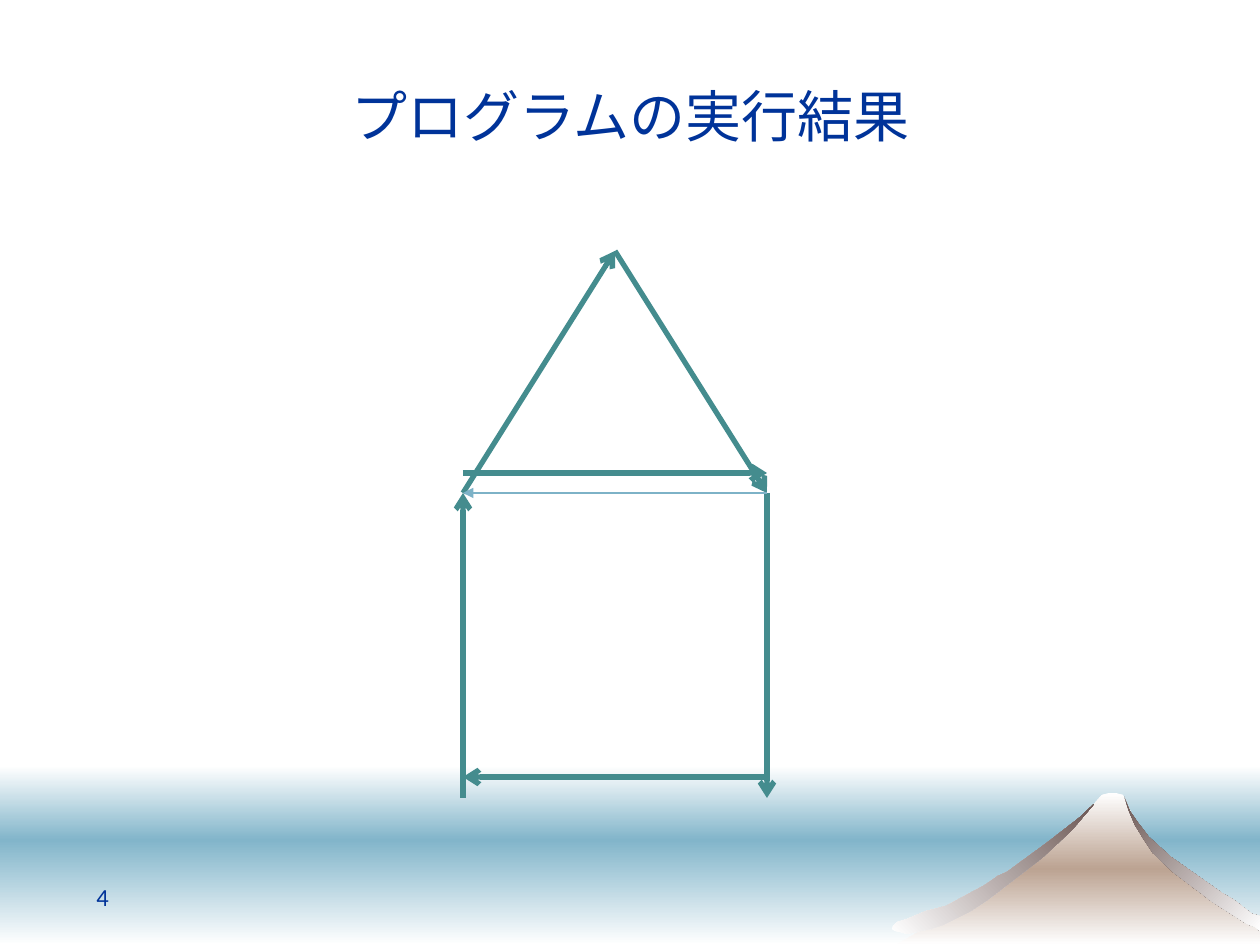
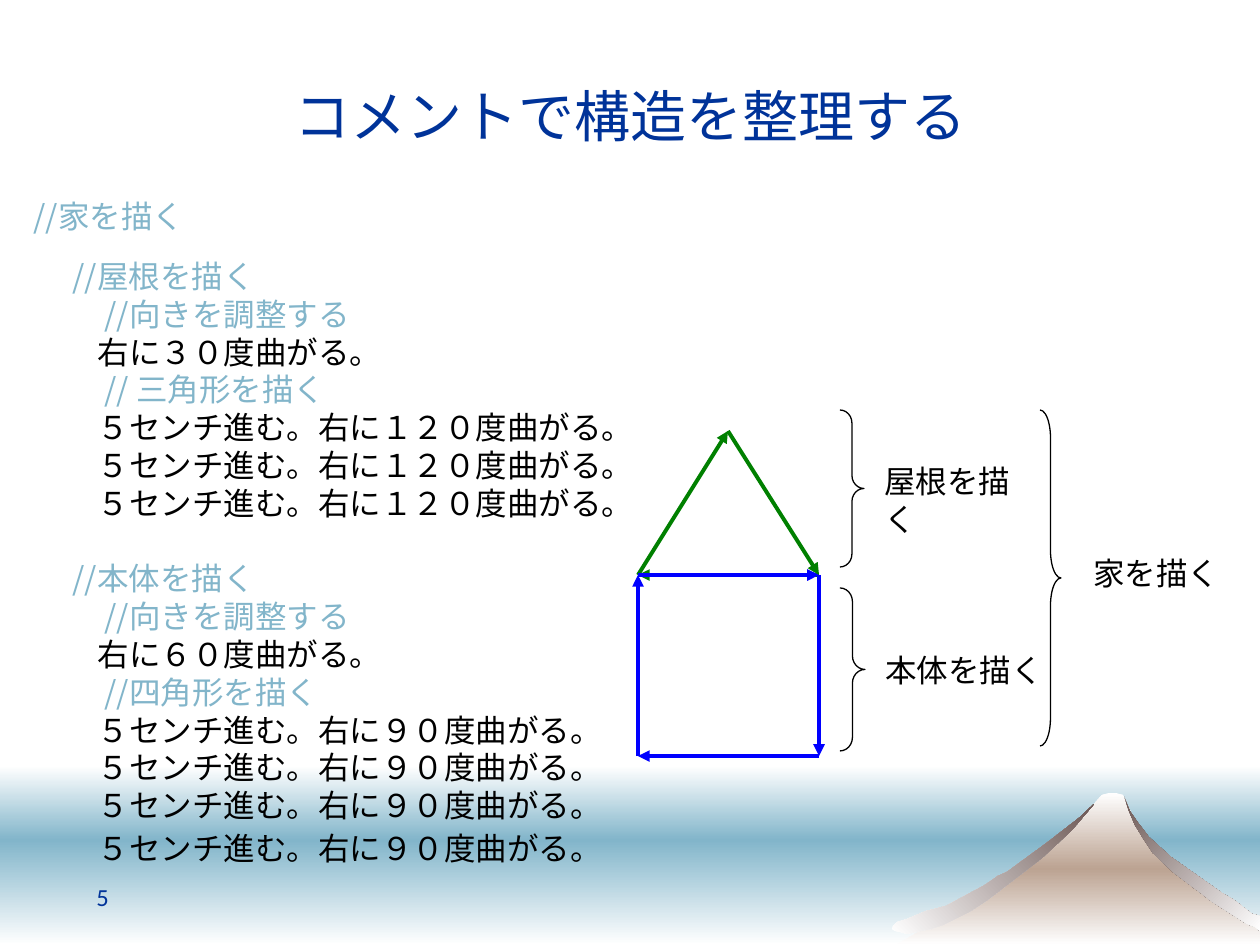
import lxml.etree
import pptx
import pptx.dml.color
import pptx.enum.shapes
import pptx.enum.text
import pptx.oxml.ns
import pptx.util

SCALE = 914400 / 126
LINE_PITCH = 21.6
COLORS = {
    "navy": "003399", "sky": "82B5CA", "thin": "7DB2C7", "teal": "448C8E",
    "green": "008000", "blue": "0000FF", "black": "000000", "white": "FFFFFF",
    "sand": "BCA392", "rock": "6B5653",
}
CJK_FONT = "Noto Sans CJK JP"
TITLE_BOX = (64, 26, 1134, 129)
NUMBER_BOX = (84, 876, 273, 50)
CODE_BOX = (21, 191, 724, 682)

BANDS = [
    ((0, 766, 1260, 74), ["white", "sky"]),
    ((0, 840, 1260, 105), ["sky", "white"]),
]
MOUNTAIN = [
    (896, 945), (995, 888), (1058, 839), (1095, 803), (1102, 795), (1109, 793),
    (1116, 793), (1123, 795), (1138, 828), (1162, 857), (1220, 897), (1260, 924),
    (1260, 945),
]
RIGHT_RIDGE = [
    (1153, 853), (1173, 872), (1194, 888), (1201, 893), (1211, 901), (1247, 924),
    (1255, 927), (1260, 931), (1260, 916), (1252, 914), (1234, 900), (1222, 893),
    (1171, 857), (1149, 837), (1139, 824), (1130, 811), (1126, 801), (1124, 796),
    (1129, 811), (1135, 825), (1143, 838),
]
LEFT_RIDGE = [
    (1048, 842), (1007, 872), (998, 876), (985, 885), (946, 906), (926, 911),
    (907, 919), (897, 922), (893, 926), (892, 929), (895, 931), (900, 932),
    (907, 934), (920, 931), (931, 929), (945, 924), (969, 912), (983, 903),
    (990, 898), (1042, 858), (1072, 830), (1089, 810), (1094, 804), (1079, 818),
]
SLOPES = [
    (MOUNTAIN, ["white", "sand", "white"], 90),
    (RIGHT_RIDGE, ["rock", "white"], 45),
    (LEFT_RIDGE, ["white", "rock"], 315),
]

RESULT_TITLE = "プログラムの実行結果"
RESULT_STROKES = {
    ("teal", 3, "arrow"): [
        (463, 493, 615, 251), (615, 251, 767, 493), (463, 473, 767, 473),
        (767, 777, 463, 777), (463, 798, 463, 493), (767, 493, 767, 798),
    ],
    ("thin", 0.75, "triangle"): [(767, 493, 463, 493)],
}

COMMENT_TITLE = "コメントで構造を整理する"
TRIANGLE_STEP = (2, "５センチ進む。右に１２０度曲がる。", 0)
SQUARE_STEP = (2, "５センチ進む。右に９０度曲がる。", 0)
CODE_LINES = [
    (0, "//家を描く", 0),
    (1, "//屋根を描く", 12.5),
    (2, "//向きを調整する", 0),
    (2, "右に３０度曲がる。", 0),
    (2, "// 三角形を描く", 0),
    *[TRIANGLE_STEP] * 3,
    (1, "//本体を描く", LINE_PITCH),
    (2, "//向きを調整する", 0),
    (2, "右に６０度曲がる。", 0),
    (2, "//四角形を描く", 0),
    *[SQUARE_STEP] * 3,
    (2, SQUARE_STEP[1], 3),
]
COMMENT_STROKES = {
    ("green", 2.25, "triangle"): [
        (638, 575, 728, 431), (819, 575, 638, 575), (728, 431, 819, 575),
    ],
    ("blue", 2.25, "triangle"): [
        (638, 575, 819, 575), (819, 756, 638, 756),
        (638, 756, 638, 575), (819, 575, 819, 756),
    ],
}
BRACES = [(840, 410, 24, 157), (840, 588, 25, 163), (1040, 410, 21, 336)]
LABELS = [
    ("屋根を描く", (872, 456, 178, 88)),
    ("本体を描く", (873, 645, 186, 50)),
    ("家を描く", (1081, 548, 179, 50)),
]


def emu(*lengths):
    return [pptx.util.Emu(round(length * SCALE)) for length in lengths]


def color(name):
    return pptx.dml.color.RGBColor.from_string(COLORS[name])


def child(parent, tag, **attributes):
    return lxml.etree.SubElement(parent, pptx.oxml.ns.qn(tag), attributes)


def add_text(para, text, size, ink, latin, east_asian=CJK_FONT):
    span = para.add_run()
    span.text = text
    span.font.size = pptx.util.Pt(size)
    span.font.name = latin
    span.font.color.rgb = color(ink)
    span.font.language_id = pptx.enum.lang.MSO_LANGUAGE_ID.JAPANESE
    child(span.font._element, "a:ea", typeface=east_asian)


def place(shape, box):
    shape.left, shape.top, shape.width, shape.height = emu(*box)
    frame = shape.text_frame
    frame.word_wrap = True
    frame.auto_size = pptx.enum.text.MSO_AUTO_SIZE.NONE
    return frame


def add_box(page, box):
    return place(page.shapes.add_textbox(*emu(*box)), box).paragraphs[0]


def fill_gradient(shape, names, angle):
    shape.shadow.inherit = False
    shape.line.fill.background()
    gradient = lxml.etree.Element(pptx.oxml.ns.qn("a:gradFill"), rotWithShape="1")
    stops = child(gradient, "a:gsLst")
    for index, name in enumerate(names):
        stop = child(stops, "a:gs", pos=str(index * 100000 // (len(names) - 1)))
        child(stop, "a:srgbClr", val=COLORS[name])
    child(gradient, "a:lin", ang=str(angle * 60000), scaled="0")
    shape.element.spPr.insert(2, gradient)


def add_scenery(deck, page):
    scenery = []
    for box, names in BANDS:
        band = page.shapes.add_shape(pptx.enum.shapes.MSO_SHAPE.RECTANGLE, *emu(*box))
        fill_gradient(band, names, 90)
        scenery.append(band)
    for points, names, angle in SLOPES:
        outline = page.shapes.build_freeform(*points[0], scale=SCALE)
        outline.add_line_segments(points[1:], close=True)
        slope = outline.convert_to_shape()
        fill_gradient(slope, names, angle)
        scenery.append(slope)
    for number, shape in enumerate(scenery, 101):
        shape.element.nvSpPr.cNvPr.set("id", str(number))
        deck.slide_master.shapes.element.append(shape.element)


def add_page(deck, layout, title, number):
    page = deck.slides.add_slide(deck.slide_layouts[layout])
    frame = place(page.shapes.title, TITLE_BOX)
    frame.vertical_anchor = pptx.enum.text.MSO_ANCHOR.BOTTOM
    para = frame.paragraphs[0]
    para.alignment = pptx.enum.text.PP_ALIGN.CENTER
    add_text(para, title, 32, "navy", "Arial", "Arial")
    add_text(add_box(page, NUMBER_BOX), number, 14, "navy", "Calibri")
    return page


def add_strokes(page, strokes):
    for (ink, width, tip), segments in strokes.items():
        for segment in segments:
            stroke = page.shapes.add_connector(
                pptx.enum.shapes.MSO_CONNECTOR.STRAIGHT, *emu(*segment))
            stroke.line.color.rgb = color(ink)
            stroke.line.width = pptx.util.Pt(width)
            properties = stroke.element.spPr
            child(properties.find(pptx.oxml.ns.qn("a:ln")), "a:tailEnd", type=tip)
            child(properties, "a:effectLst")


def add_code(page):
    frame = place(page.placeholders[1], CODE_BOX)
    for index, (level, text, gap) in enumerate(CODE_LINES):
        para = frame.add_paragraph() if index else frame.paragraphs[0]
        is_comment = text.startswith("//")
        margin = level * 32 + (7 if is_comment and level else 0)
        properties = para._p.get_or_add_pPr()
        properties.set("marL", str(emu(margin)[0]))
        properties.set("indent", "0")
        child(properties, "a:buNone")
        para.line_spacing = pptx.util.Pt(LINE_PITCH)
        para.space_before = pptx.util.Pt(gap)
        add_text(para, text, 18, "sky" if is_comment else "black", CJK_FONT)


def add_braces(page):
    for box in BRACES:
        brace = page.shapes.add_shape(pptx.enum.shapes.MSO_SHAPE.RIGHT_BRACE, *emu(*box))
        brace.adjustments[0] = box[3] / 12 / box[2]
        brace.shadow.inherit = False
        brace.fill.background()
        brace.line.color.rgb = color("black")
        brace.line.width = pptx.util.Pt(0.75)
    for text, box in LABELS:
        para = add_box(page, box)
        para.line_spacing = pptx.util.Pt(LINE_PITCH)
        add_text(para, text, 18, "black", "Times New Roman")


def main():
    deck = pptx.Presentation()
    deck.slide_width, deck.slide_height = emu(1260, 945)

    result = add_page(deck, 5, RESULT_TITLE, "4")
    add_scenery(deck, result)
    add_strokes(result, RESULT_STROKES)

    comments = add_page(deck, 1, COMMENT_TITLE, "5")
    add_code(comments)
    add_strokes(comments, COMMENT_STROKES)
    add_braces(comments)

    deck.save("out.pptx")


if __name__ == "__main__":
    import pptx.enum.lang
    main()
